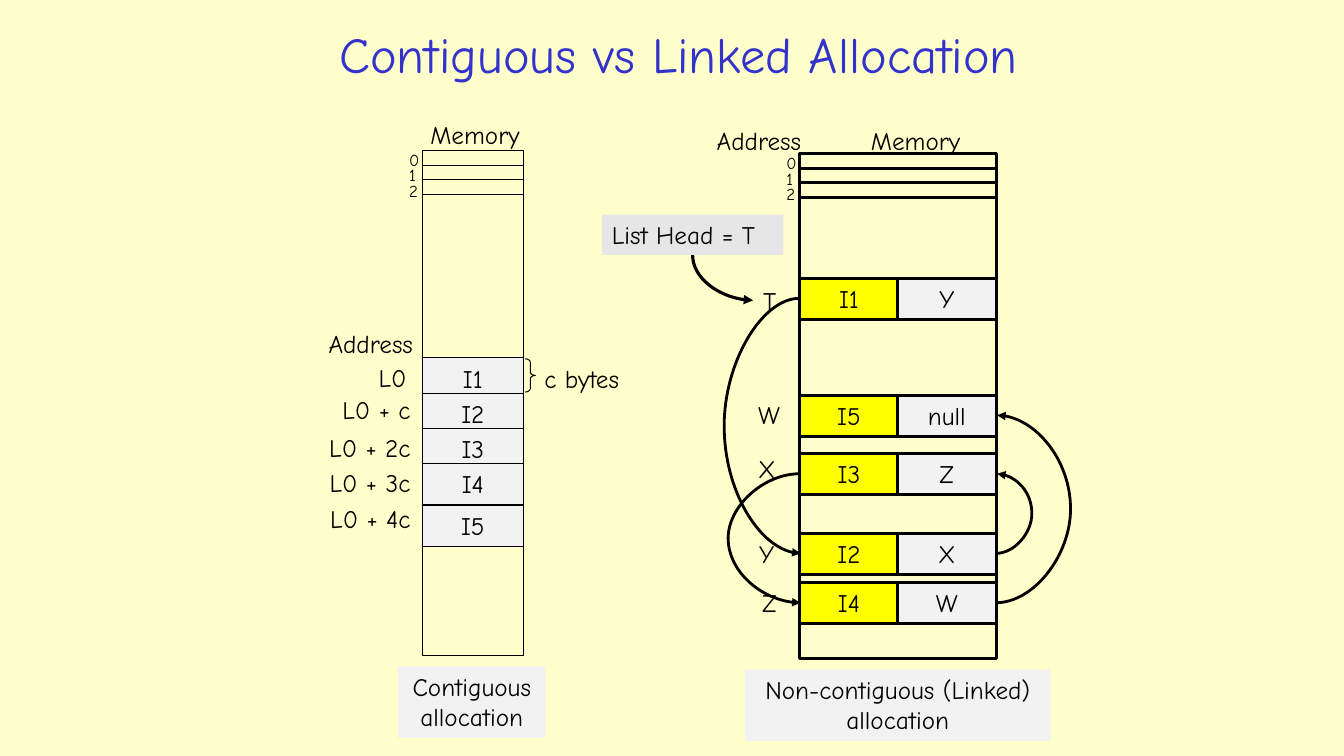
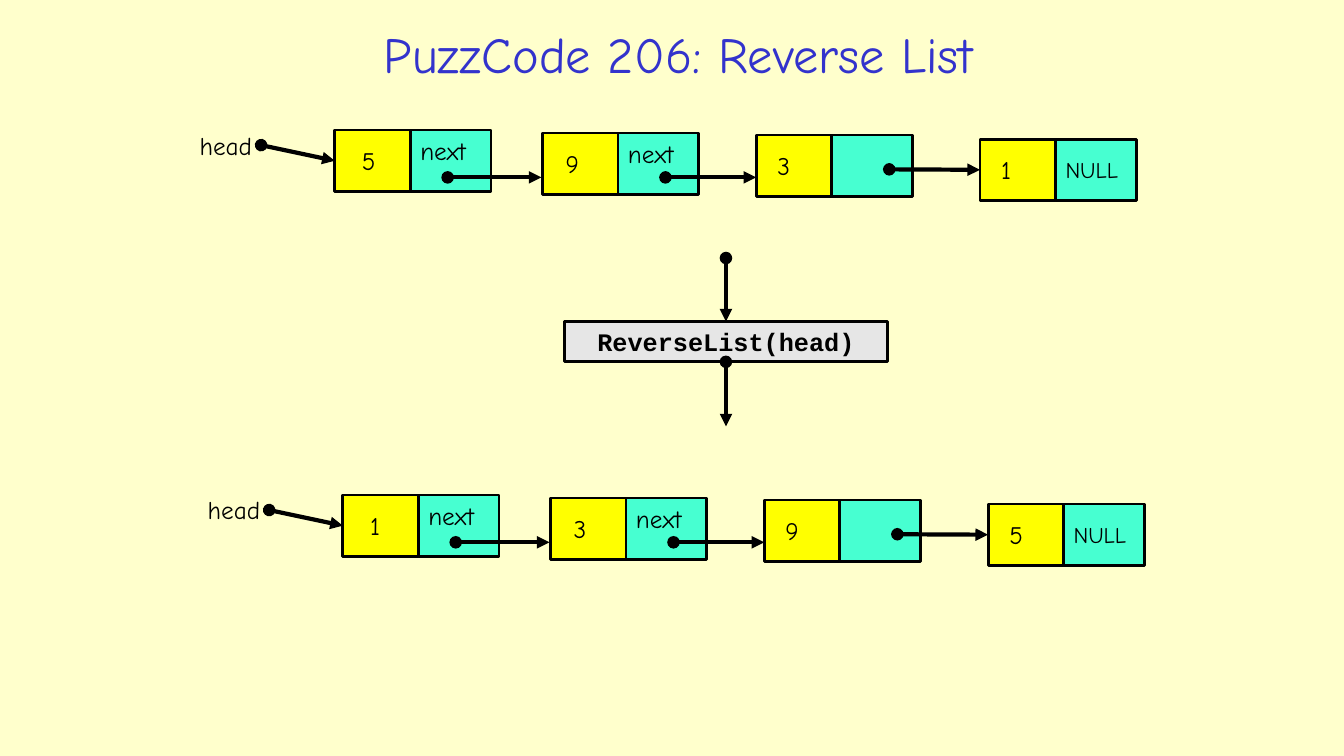
from lxml import etree
from pptx import Presentation
from pptx.dml.color import RGBColor
from pptx.enum.shapes import MSO_CONNECTOR as LINK, MSO_SHAPE as SHAPE
from pptx.enum.text import MSO_ANCHOR as ANCHOR, PP_ALIGN as ALIGN
from pptx.oxml.ns import qn
from pptx.util import Pt

EMU_PER_PX = 9144
FONT = "Comic Neue"
CODE_FONT = "Courier New"
BLACK = RGBColor(0x00, 0x00, 0x00)
CREAM = RGBColor(0xFF, 0xFF, 0xCC)
BLUE = RGBColor(0x33, 0x33, 0xCC)
YELLOW = RGBColor(0xFF, 0xFF, 0x00)
AQUA = RGBColor(0x47, 0xFF, 0xD1)
PALE = RGBColor(0xF2, 0xF2, 0xF2)
GREY = RGBColor(0xE6, 0xE6, 0xE6)
THIN, MEDIUM, THICK = 0.75, 2, 3


def px(length):
    """Turn px into EMU."""
    return round(length * EMU_PER_PX)


def write(shape, text, size=18, color=BLACK, align=ALIGN.LEFT, anchor=ANCHOR.TOP,
          font=FONT, bold=False, wrap=False, inset=10):
    """Fill a shape with formatted text, one paragraph per line."""
    frame = shape.text_frame
    frame.word_wrap = wrap
    frame.vertical_anchor = anchor
    frame.margin_left = px(inset)
    frame.text = text
    for paragraph in frame.paragraphs:
        paragraph.alignment = align
        paragraph.font.name = font
        paragraph.font.size = Pt(size)
        paragraph.font.bold = bold
        paragraph.font.color.rgb = color


def label(slide, text, x, y, w, h=40, **text_format):
    """Add free-standing text."""
    write(slide.shapes.add_textbox(px(x), px(y), px(w), px(h)), text, **text_format)


def box(slide, x, y, w, h, text="", fill=None, line=None, kind=SHAPE.RECTANGLE,
        **text_format):
    """Add a shape with optional fill, outline and text."""
    shape = slide.shapes.add_shape(kind, px(x), px(y), px(w), px(h))
    shape.shadow.inherit = False
    if fill is None:
        shape.fill.background()
    else:
        shape.fill.solid()
        shape.fill.fore_color.rgb = fill
    if line is None:
        shape.line.fill.background()
    else:
        shape.line.color.rgb = BLACK
        shape.line.width = Pt(line)
    if text:
        write(shape, text, **text_format)
    return shape


def connect(slide, start, end, width, head=None, tail=None, kind=LINK.STRAIGHT):
    """Add a black connector with optional end marks."""
    connector = slide.shapes.add_connector(kind, *map(px, (*start, *end)))
    connector.line.color.rgb = BLACK
    connector.line.width = Pt(width)
    outline = connector.line._get_or_add_ln()
    for tag, mark in (("a:headEnd", head), ("a:tailEnd", tail)):
        if mark:
            etree.SubElement(outline, qn(tag), type=mark)
    etree.SubElement(connector.element.spPr, qn("a:effectLst"))
    return connector


def pointer(slide, start, end):
    """Add a straight pointer with a dot at its start."""
    return connect(slide, start, end, THICK, head="oval", tail="triangle")


def bulge(slide, x, y_from, y_to, x_bulge):
    """Add a curved arrow between two heights, bending out to x_bulge."""
    curve = connect(slide, (x, y_from), (x + 1, y_to), MEDIUM, tail="triangle",
                    kind=LINK.CURVE)
    guides = curve.element.spPr.find(qn("a:prstGeom")).get_or_add_avLst()
    etree.SubElement(guides, qn("a:gd"), name="adj1",
                     fmla=f"val {(x_bulge - x) * 100000}")


def quarter_turn(slide, start, end):
    """Add a curved arrow that leaves vertically and arrives horizontally."""
    curve = connect(slide, end, start, 2.25, head="triangle", kind=LINK.CURVE)
    curve.element.spPr.find(qn("a:prstGeom")).set("prst", "curvedConnector2")


def titled_slide(deck, title):
    """Add a blank slide with the shared title style."""
    slide = deck.slides.add_slide(deck.slide_layouts[6])
    label(slide, title, 197, 15, 952, 76, size=36, color=BLUE, align=ALIGN.CENTER,
          anchor=ANCHOR.MIDDLE, wrap=True)
    return slide


def memory(slide, x, y, w, line):
    """Draw a memory column whose first three addresses are ruled off."""
    box(slide, x, y, w, 501, line=line)
    for address, rule in enumerate((15, 29, 44)):
        connect(slide, (x, y + rule), (x + w, y + rule), line)
        label(slide, str(address), x - 23, y - 5 + 15 * address, 31, 30, size=12)


def contiguous_memory(slide):
    """Draw the column whose items lie side by side."""
    x = 419
    memory(slide, x, 149, 100, THIN)
    label(slide, "Memory", 417, 113, 115)
    label(slide, "Address", 316, 321, 119)
    items = (("L0", 355, 413, 355), ("L0 + c", 386, 417, 390),
             ("L0 + 2c", 424, 417, 425), ("L0 + 3c", 459, 417, 460),
             ("L0 + 4c", 494, 417, 501))
    for number, (address, y_address, right, y_item) in enumerate(items, 1):
        label(slide, address, right - 105, y_address, 105, align=ALIGN.RIGHT)
        box(slide, x, y_item, 100, 41, f"I{number}", PALE, THIN, align=ALIGN.CENTER)
    brace = box(slide, 521, 356, 10, 33, line=THIN, kind=SHAPE.RIGHT_BRACE)
    brace.adjustments[0] = 0.33
    label(slide, "c bytes", 530, 356, 107)
    box(slide, 395, 661, 146, 71, "Contiguous\nallocation", PALE, align=ALIGN.CENTER)


def linked_memory(slide):
    """Draw the column whose items point at one another."""
    left, right = 793, 988
    memory(slide, left, 152, right - left, MEDIUM)
    label(slide, "Address", 701, 119, 119)
    label(slide, "Memory", 854, 119, 115)
    items = (("T", 747, 278, "I1", "Y", 276), ("W", 742, 391, "I5", "null", 392),
             ("X", 742, 445, "I3", "Z", 450), ("Y", 743, 529, "I2", "X", 529),
             ("Z", 746, 578, "I4", "W", 578))
    middle = {}
    for address, x_address, y_address, item, following, y in items:
        label(slide, address, x_address, y_address, 38)
        box(slide, left, y, 98, 41, item, YELLOW, MEDIUM, align=ALIGN.CENTER)
        box(slide, left + 97, y, 98, 41, following, PALE, MEDIUM, align=ALIGN.CENTER)
        middle[address] = y + 20
    for x, origin, target, x_bulge in ((left, "T", "Y", 717), (right, "Y", "X", 1024),
                                       (left, "X", "Z", 721), (right, "Z", "W", 1063)):
        bulge(slide, x, middle[origin], middle[target], x_bulge)
    quarter_turn(slide, (687, 253), (747, 298))
    box(slide, 597, 213, 180, 40, "List Head = T", GREY)
    box(slide, 739, 664, 303, 71, "Non-contiguous (Linked)\nallocation", PALE,
        align=ALIGN.CENTER)


def linked_list(slide, x, y, values):
    """Draw a linked list whose first node is at x, y."""
    nodes = ((0, 0, 27, "next"), (206, 3, 23, "next"), (418, 5, 21, ""),
             (640, 9, 21, "NULL"))
    value_cells = []
    for value, (dx, dy, inset, following) in zip(values, nodes):
        is_last = following == "NULL"
        box(slide, x + dx + 75, y + dy, 80, 61, following, AQUA, MEDIUM,
            size=16 if is_last else 18,
            anchor=ANCHOR.MIDDLE if is_last else ANCHOR.TOP)
        value_cells.append(box(slide, x + dx, y + dy, 75, 61, value, YELLOW, MEDIUM,
                               anchor=ANCHOR.MIDDLE, inset=inset))
    label(slide, "head", x - 146, y - 5, 76, align=ALIGN.CENTER)
    to_first = pointer(slide, (x - 73, y + 15), (x, y + 30))
    to_first.end_connect(value_cells[0], 1)
    pointer(slide, (x + 112, y + 47), (x + 205, y + 47))
    pointer(slide, (x + 328, y + 47), (x + 418, y + 47))
    to_last = pointer(slide, (x + 550, y + 39), (x + 640, y + 39))
    to_last.end_connect(value_cells[-1], 1)


def reverse_call(slide):
    """Draw the function call between the two lists."""
    call = box(slide, 560, 319, 320, 40, "ReverseList(head)", GREY, MEDIUM,
               align=ALIGN.CENTER, font=CODE_FONT, bold=True)
    pointer(slide, (720, 256), (720, 319)).end_connect(call, 0)
    pointer(slide, (720, 359), (720, 423)).begin_connect(call, 2)


def main():
    """Build and save the deck."""
    deck = Presentation()
    deck.slide_width, deck.slide_height = px(1333), px(750)
    background = deck.slide_master.background.fill
    background.solid()
    background.fore_color.rgb = CREAM

    allocation = titled_slide(deck, "Contiguous vs Linked Allocation")
    contiguous_memory(allocation)
    linked_memory(allocation)

    reversal = titled_slide(deck, "PuzzCode 206: Reverse List")
    linked_list(reversal, 332, 129, "5931")
    reverse_call(reversal)
    linked_list(reversal, 340, 491, "1395")
    deck.save("out.pptx")


if __name__ == "__main__":
    main()
